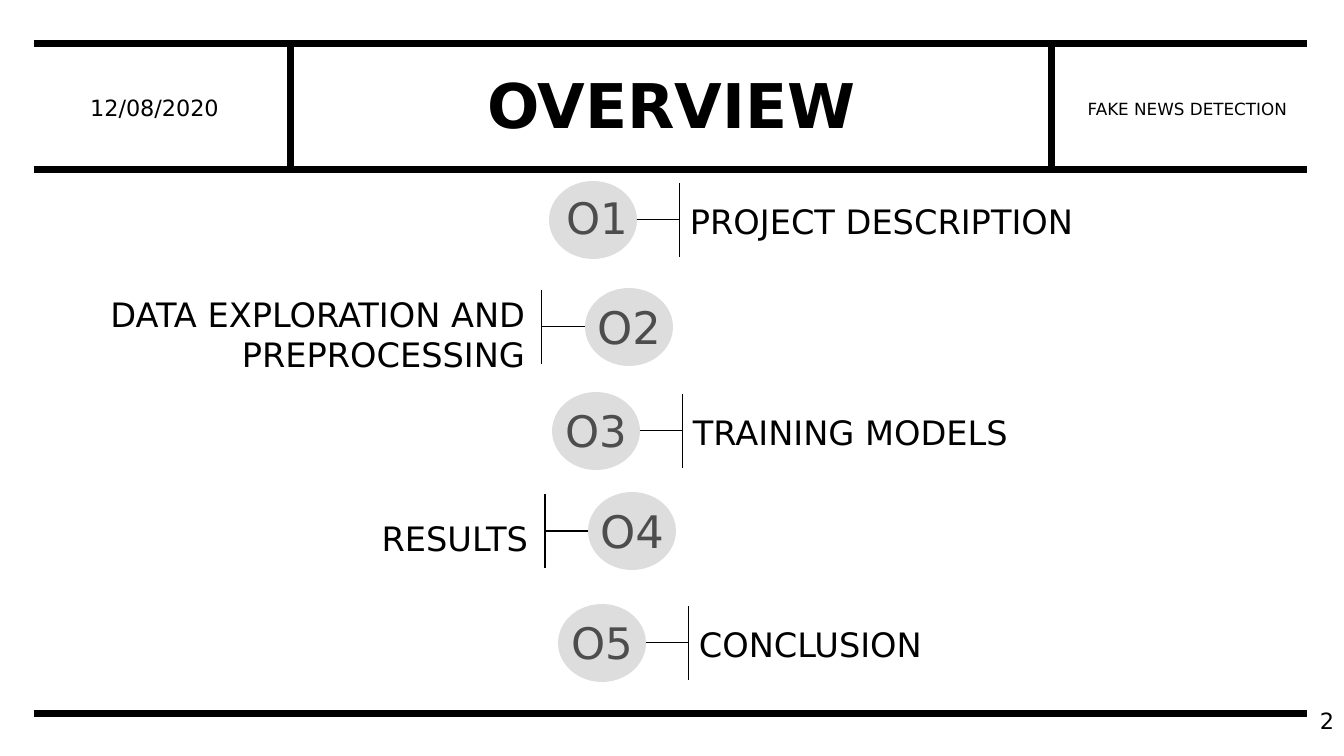
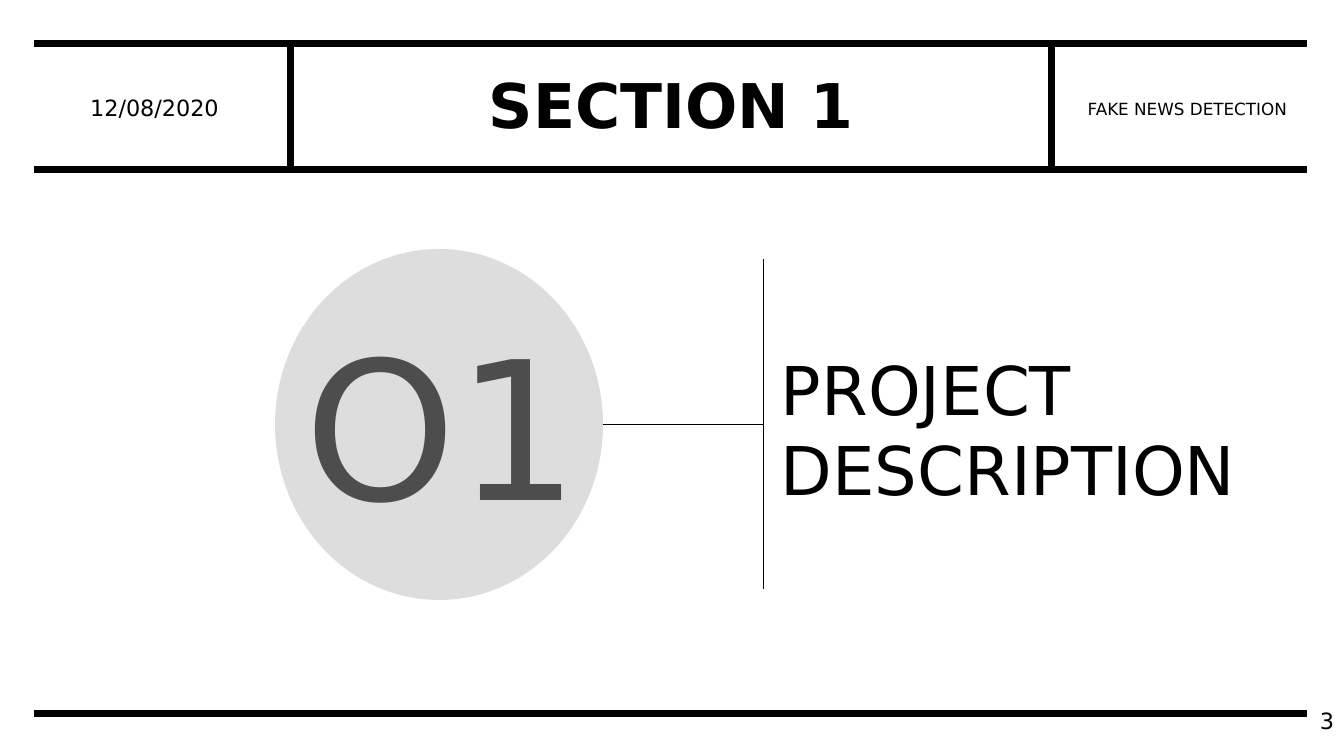
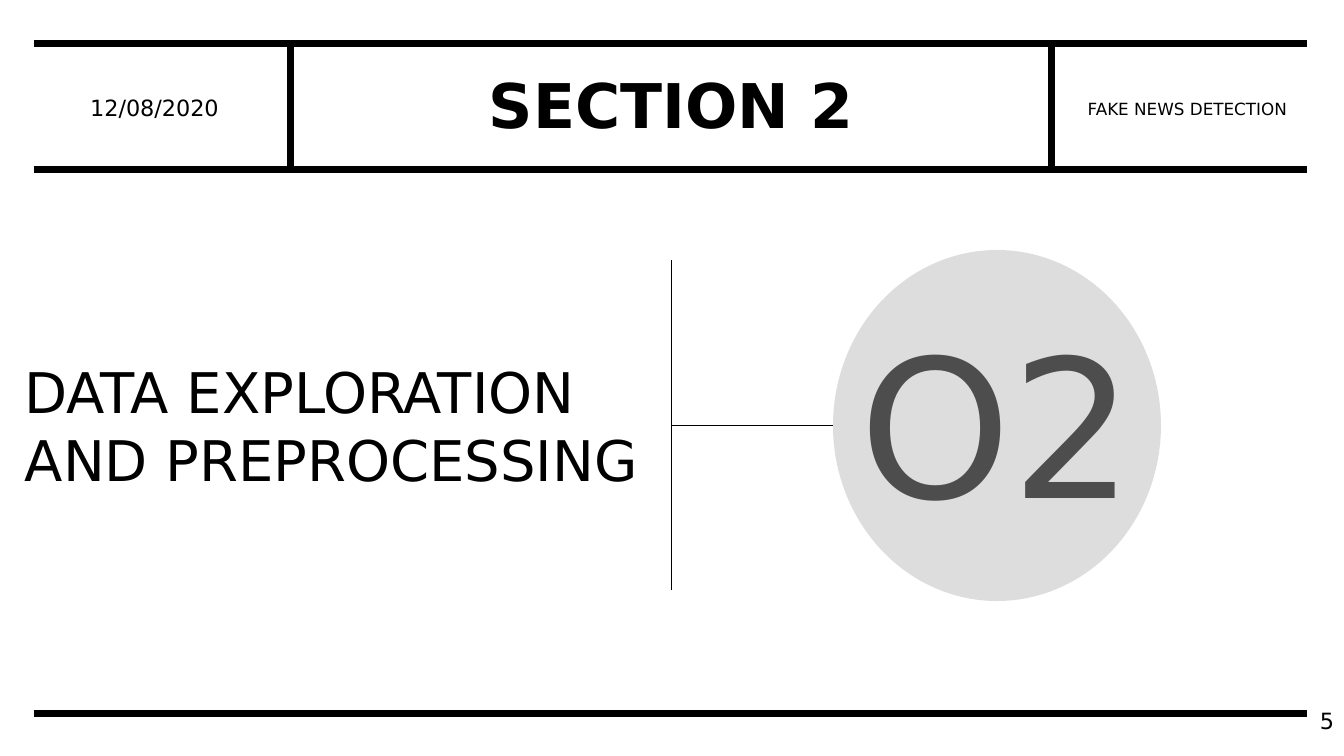
from dataclasses import dataclass

from lxml.etree import SubElement
from pptx import Presentation
from pptx.dml.color import RGBColor
from pptx.enum.shapes import MSO_CONNECTOR as Connector, MSO_SHAPE as Preset
from pptx.enum.text import MSO_ANCHOR as Anchor, MSO_AUTO_SIZE as AutoSize, PP_ALIGN as Align
from pptx.oxml.ns import qn
from pptx.util import Emu, Pt

PX_PER_INCH = 100.8
PX_PER_POINT = 1.4
TITLE_ONLY = 5


@dataclass(frozen=True)
class Theme:
    font: str = "DejaVu Sans"
    ink: str = "000000"
    disc: str = "DDDDDD"
    number: str = "4D4D4D"
    title_size: int = 44
    date_size: int = 16
    topic_size: int = 12
    rule_weight: float = 5
    bracket_weight: float = 0.75


@dataclass(frozen=True)
class BadgeStyle:
    width: int
    height: int
    stem: int
    bar: int
    number_width: int
    right_gap: int
    left_gap: int
    left_align: Align


@dataclass(frozen=True)
class Topic:
    number: str
    label: str
    left: int
    top: int
    label_width: int
    label_drop: int
    label_size: int
    number_size: int
    number_drop: int = 7
    number_shift: int = 0
    lines: int = 1
    label_on_left: bool = False


THEME = Theme()
SMALL = BadgeStyle(88, 78, 43, 74, 103, 0, 7, Align.RIGHT)
LARGE = BadgeStyle(328, 351, 161, 330, 302, 7, 7, Align.LEFT)

OVERVIEW = [
    Topic("O1", "PROJECT DESCRIPTION", 549, 181, 503, 15, 24, 31, number_drop=5, number_shift=4),
    Topic("O2", "DATA EXPLORATION AND PREPROCESSING", 585, 288, 477, 1, 24, 32,
          lines=2, label_on_left=True),
    Topic("O3", "TRAINING MODELS", 552, 392, 386, 15, 24, 31),
    Topic("O4", "RESULTS", 588, 492, 477, 21, 24, 32, label_on_left=True),
    Topic("O5", "CONCLUSION", 558, 604, 619, 15, 24, 31),
]
SECTION_1 = Topic("O1", "PROJECT\nDESCRIPTION", 275, 249, 542, 94, 48, 138,
                  number_drop=53, number_shift=3, lines=2)
SECTION_2 = Topic("O2", "DATA EXPLORATION\nAND PREPROCESSING", 833, 250, 650, 103, 40, 138,
                  number_drop=50, lines=2, label_on_left=True)

SLIDES = [
    ("OVERVIEW", "2", SMALL, OVERVIEW),
    ("SECTION 1", "3", LARGE, [SECTION_1]),
    ("SECTION 2", "5", LARGE, [SECTION_2]),
]


def px(length):
    return Emu(round(length * 914400 / PX_PER_INCH))


def text_height(size, lines):
    return round((1.2 * size * lines + 7.2) * PX_PER_POINT)


def write_text(shape, text, *, size, color=THEME.ink, bold=False, align=Align.LEFT,
               anchor=Anchor.TOP, spacing=None, grow=False):
    frame = shape.text_frame
    frame.word_wrap = True
    frame.auto_size = AutoSize.SHAPE_TO_FIT_TEXT if grow else AutoSize.NONE
    frame.vertical_anchor = anchor
    frame.text = text
    for paragraph in frame.paragraphs:
        paragraph.alignment = align
        paragraph.line_spacing = spacing
        font = paragraph.runs[0].font
        font.name = THEME.font
        font.size = Pt(size)
        font.bold = bold
        font.color.rgb = RGBColor.from_string(color)


def add_text(slide, box, text, **text_format):
    shape = slide.shapes.add_textbox(*map(px, box))
    write_text(shape, text, **text_format)


def add_line(shapes, start, end, weight):
    line = shapes.add_connector(Connector.STRAIGHT, *map(px, (*start, *end)))
    line.line.color.rgb = RGBColor.from_string(THEME.ink)
    line.line.width = Pt(weight)
    SubElement(line.element.spPr, qn("a:effectLst"))
    return line


def add_frame_rules(layout, slide):
    rules = [((34, y), (1307, y)) for y in (714, 44, 170)]
    rules += [((x, 44), (x, 170)) for x in (291, 1052)]
    for shape_id, (start, end) in enumerate(rules, 101):
        element = add_line(slide.shapes, start, end, THEME.rule_weight).element
        element.nvCxnSpPr.cNvPr.set("id", str(shape_id))
        layout.shapes.element.append(element)


def add_header(slide, title, page):
    placeholder = slide.shapes.title
    placeholder.left, placeholder.top, placeholder.width, placeholder.height = map(
        px, (308, 65, 727, 87))
    write_text(placeholder, title, size=THEME.title_size, bold=True, align=Align.CENTER,
               anchor=Anchor.MIDDLE, spacing=0.9)
    for box, text, size, align in (
        ((34, 64, 241, 87), "12/08/2020", THEME.date_size, Align.CENTER),
        ((1068, 65, 239, 87), "FAKE NEWS DETECTION", THEME.topic_size, Align.CENTER),
        ((1041, 701, 303, 40), page, THEME.date_size, Align.RIGHT),
    ):
        add_text(slide, box, text, size=size, align=align, anchor=Anchor.MIDDLE)


def add_badge(slide, topic, style):
    middle = topic.top + style.height / 2
    if topic.label_on_left:
        edge = topic.left
        bar_x = edge - style.stem
        label_left = bar_x - style.left_gap - topic.label_width
        align = style.left_align
    else:
        edge = topic.left + style.width
        bar_x = edge + style.stem
        label_left = bar_x + style.right_gap
        align = Align.LEFT

    shapes = slide.shapes.add_group_shape().shapes
    disc = shapes.add_shape(Preset.OVAL, *map(px, (topic.left, topic.top, style.width, style.height)))
    disc.shadow.inherit = False
    disc.fill.solid()
    disc.fill.fore_color.rgb = RGBColor.from_string(THEME.disc)
    disc.line.fill.background()
    add_line(shapes, (bar_x, middle - style.bar / 2), (bar_x, middle + style.bar / 2),
             THEME.bracket_weight)
    add_line(shapes, (edge, middle), (bar_x, middle), THEME.bracket_weight)

    number_left = topic.left + (style.width - style.number_width) / 2 + topic.number_shift
    add_text(slide,
             (number_left, topic.top + topic.number_drop, style.number_width,
              text_height(topic.number_size, 1)),
             topic.number, size=topic.number_size, color=THEME.number,
             align=Align.CENTER, grow=True)
    add_text(slide,
             (label_left, topic.top + topic.label_drop, topic.label_width,
              text_height(topic.label_size, topic.lines)),
             topic.label, size=topic.label_size, align=align, grow=True)


def main():
    presentation = Presentation()
    presentation.slide_width, presentation.slide_height = px(1344), px(756)
    layout = presentation.slide_layouts[TITLE_ONLY]
    for index, (title, page, style, topics) in enumerate(SLIDES):
        slide = presentation.slides.add_slide(layout)
        if index == 0:
            add_frame_rules(layout, slide)
        add_header(slide, title, page)
        for topic in topics:
            add_badge(slide, topic, style)
    presentation.save("out.pptx")


if __name__ == "__main__":
    main()
